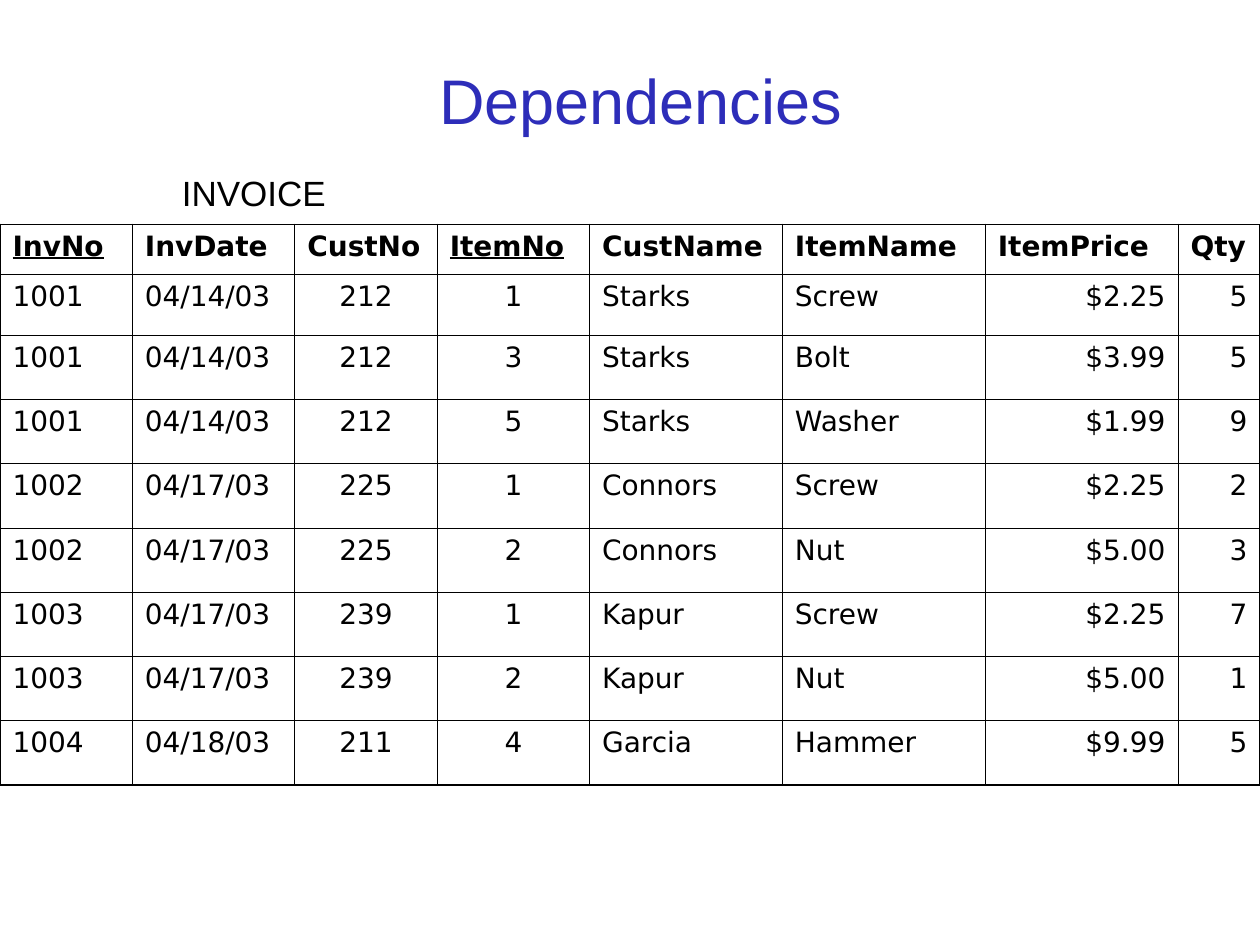
from dataclasses import dataclass

from lxml import etree
from pptx import Presentation
from pptx.dml.color import RGBColor
from pptx.enum.text import MSO_ANCHOR, MSO_AUTO_SIZE, PP_ALIGN
from pptx.oxml.ns import qn
from pptx.util import Inches, Pt

LEFT, CENTER, RIGHT = PP_ALIGN.LEFT, PP_ALIGN.CENTER, PP_ALIGN.RIGHT
TOP, MIDDLE = MSO_ANCHOR.TOP, MSO_ANCHOR.MIDDLE
FIXED, GROW = MSO_AUTO_SIZE.NONE, MSO_AUTO_SIZE.SHAPE_TO_FIT_TEXT
WIDE, HIGH = 10, 7.5


@dataclass(frozen=True)
class Theme:
    """Colours, fonts, type sizes and line widths."""
    ink: str = "000000"
    blue: str = "2D2DB9"
    sans: str = "Arial"
    grid: str = "DejaVu Sans"
    title: float = 36
    label: float = 20
    body: float = 16
    thin: float = 0.45
    thick: float = 1.08


THEME = Theme()
COLS = [
    ("InvNo", 1.05, LEFT), ("InvDate", 1.29, LEFT),
    ("CustNo", 1.13, CENTER), ("ItemNo", 1.21, CENTER),
    ("CustName", 1.53, LEFT), ("ItemName", 1.61, LEFT),
    ("ItemPrice", 1.53, RIGHT), ("Qty", 0.65, RIGHT),
]
KEYS = {"InvNo", "ItemNo"}
SALES = [
    ("1001", "04/14/03", "212", "1", "Starks", "Screw", "$2.25", "5"),
    ("1001", "04/14/03", "212", "3", "Starks", "Bolt", "$3.99", "5"),
    ("1001", "04/14/03", "212", "5", "Starks", "Washer", "$1.99", "9"),
    ("1002", "04/17/03", "225", "1", "Connors", "Screw", "$2.25", "2"),
    ("1002", "04/17/03", "225", "2", "Connors", "Nut", "$5.00", "3"),
    ("1003", "04/17/03", "239", "1", "Kapur", "Screw", "$2.25", "7"),
    ("1003", "04/17/03", "239", "2", "Kapur", "Nut", "$5.00", "1"),
    ("1004", "04/18/03", "211", "4", "Garcia", "Hammer", "$9.99", "5"),
]
ROWS = [0.4, 0.48] + [0.51] * (len(SALES) - 1)


def across(share):
    """Turn a percentage of the slide's width into a length."""
    return Inches(WIDE * share / 100)


def down(share):
    """Turn a percentage of the slide's height into a length."""
    return Inches(HIGH * share / 100)


def write(frame, text, size, font=THEME.sans, color=THEME.ink, align=LEFT,
          bold=False, under=False):
    """Put one formatted line of text in a frame."""
    par = frame.paragraphs[0]
    par.alignment = align
    run = par.add_run()
    run.text = text
    run.font.size = Pt(size)
    run.font.name = font
    run.font.color.rgb = RGBColor.from_string(color)
    run.font.bold = bold
    run.font.underline = under


def label(slide, text, left, top, width, height, wrap=True, anchor=TOP, **style):
    """Add a text box placed by percentages of the slide's size."""
    box = slide.shapes.add_textbox(
        across(left), down(top), across(width), down(height))
    frame = box.text_frame
    frame.word_wrap = wrap
    frame.auto_size = FIXED if wrap else GROW
    frame.vertical_anchor = anchor
    write(frame, text, **style)


def edge(cell, side, width):
    """Draw one border line of a cell."""
    line = etree.SubElement(cell._tc.get_or_add_tcPr(), qn(f"a:ln{side}"),
                            w=str(Pt(width)))
    fill = etree.SubElement(line, qn("a:solidFill"))
    etree.SubElement(fill, qn("a:srgbClr"), val=THEME.ink)


def border(cell, row, col):
    """Border a cell, with thick lines at the rim of the table."""
    rim = {"L": col == 0, "R": col == len(COLS) - 1,
           "T": row == 0, "B": row == len(ROWS) - 1}
    for side, outer in rim.items():
        edge(cell, side, THEME.thick if outer else THEME.thin)
    cell.fill.background()


def invoice(slide, top):
    """Add the invoice table across the full slide width."""
    table = slide.shapes.add_table(
        len(ROWS), len(COLS), 0, down(top),
        across(100), Inches(sum(ROWS))).table
    table.first_row = table.horz_banding = False
    for row, height in zip(table.rows, ROWS):
        row.height = Inches(height)
    for col, (name, width, align) in enumerate(COLS):
        table.columns[col].width = Inches(width)
        texts = [name] + [sale[col] for sale in SALES]
        for row, text in enumerate(texts):
            cell = table.cell(row, col)
            head = row == 0
            write(cell.text_frame, text, THEME.body, font=THEME.grid,
                  align=LEFT if head else align, bold=head,
                  under=head and name in KEYS)
            border(cell, row, col)


def main():
    """Build the slide and save it."""
    deck = Presentation()
    deck.slide_width, deck.slide_height = Inches(WIDE), Inches(HIGH)
    slide = deck.slides.add_slide(deck.slide_layouts[6])
    label(slide, "Dependencies", 3.35, 2.2, 95, 16.7, anchor=MIDDLE,
          size=THEME.title, color=THEME.blue, align=CENTER)
    invoice(slide, 23.75)
    label(slide, "INVOICE", 13.45, 17.45, 13.6, 5.85, wrap=False,
          size=THEME.label)
    deck.save("out.pptx")


if __name__ == "__main__":
    main()
